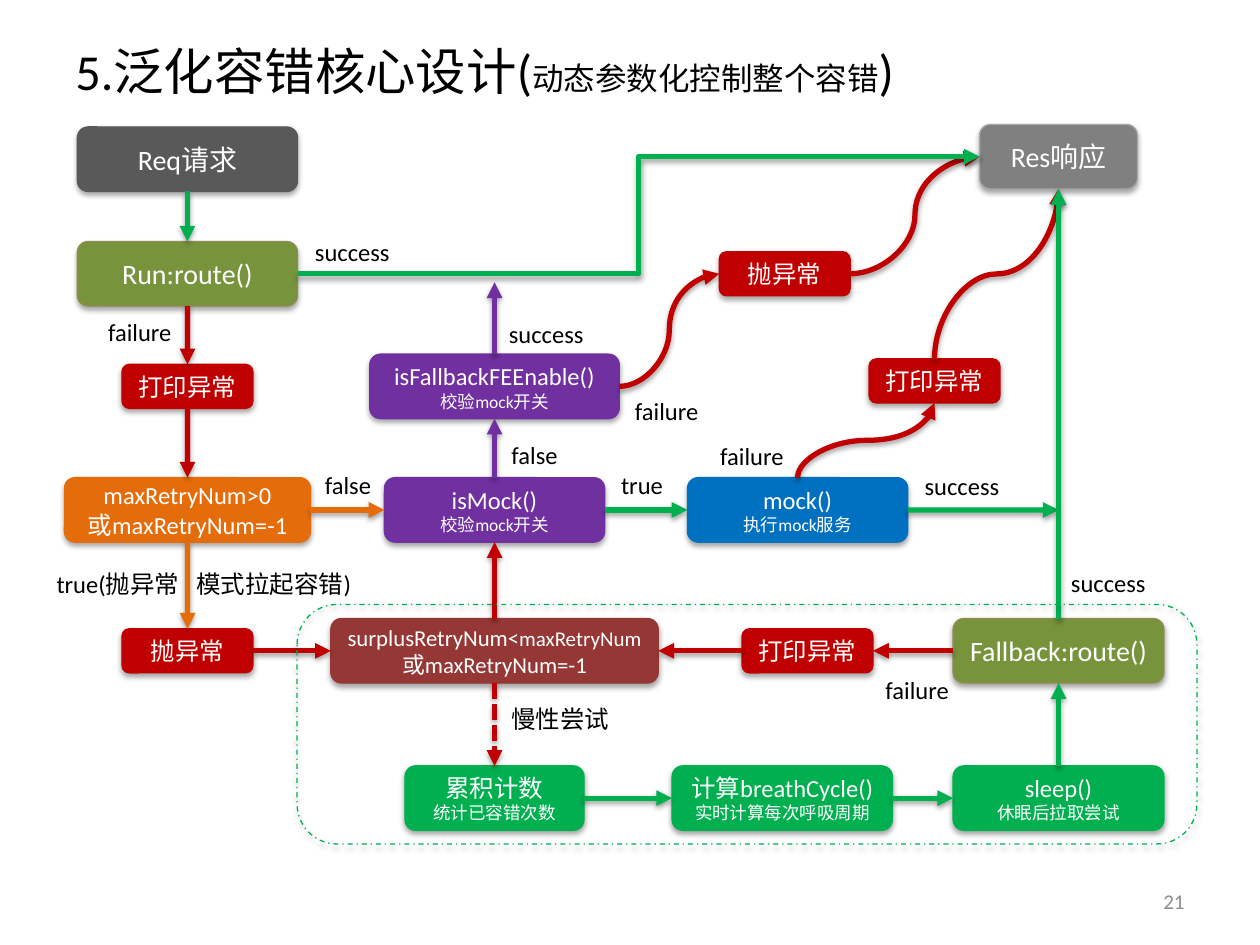
from lxml import etree
from pptx import Presentation
from pptx import util as u
from pptx.dml.color import RGBColor
from pptx.enum import dml, shapes, text
from pptx.oxml.ns import qn

THEME = {
    "latin": "Calibri", "cjk": "Noto Sans CJK SC",
    "black": "000000", "white": "FFFFFF", "muted": "8C8C8C",
    "dark": "595959", "gray": "808080", "silver": "A6A6A6",
    "olive": "77933C", "khaki": "948A54", "orange": "E46C0A",
    "purple": "7030A0", "blue": "0070C0", "red": "C00000",
    "brown": "953735", "green": "00B050",
    "title": 28.8, "subtitle": 18, "large": 16, "body": 14,
    "medium": 13, "page": 12, "small": 10,
    "thin": 0.75, "thick": 3,
}
STEP_HEIGHT, ERROR_HEIGHT, ERROR_WIDTH = 1.3, 0.89, 2.64

# Centres of the columns and rows that the steps share, in cm
LEFT, MIDDLE, RIGHT = 3.78, 9.97, 21.34
ROUTE, FALLBACK, RETRY, SURPLUS, BREATH = 5.52, 7.79, 10.28, 13.12, 16.09

TITLE = [("5.泛化容错核心设计(", "title"), ("动态参数化控制整个容错", "subtitle"),
         (")", "title")]
PAGE_NUMBER = [("21", "page")]


def call(name, note):
    return [[(name, "body")], [(note, "small")]]


# key: centre x, centre y, width, fill, outline, lines of (text, size) runs
STEPS = {
    "request": (LEFT, 3.21, 4.44, "dark", "dark", [[("Req请求", "large")]]),
    "run": (LEFT, ROUTE, 4.44, "olive", "khaki", [[("Run:route()", "large")]]),
    "fallback": (RIGHT, SURPLUS, 4.25, "olive", "khaki", [[("Fallback:route()", "large")]]),
    "retry": (LEFT, RETRY, 4.96, "orange", "orange",
              [[("maxRetryNum>0", "body")], [("或maxRetryNum=-1", "body")]]),
    "response": (RIGHT, 3.16, 3.18, "gray", "silver", [[("Res响应", "large")]]),
    "is_mock": (MIDDLE, RETRY, 4.44, "purple", "purple", call("isMock()", "校验mock开关")),
    "mock": (16.08, RETRY, 4.44, "blue", "blue", call("mock()", "执行mock服务")),
    "surplus": (MIDDLE, SURPLUS, 6.6, "brown", "brown",
                [[("surplusRetryNum<", "medium"), ("maxRetryNum", "page")],
                 [("或maxRetryNum=-1", "medium")]]),
    "count": (MIDDLE, BREATH, 3.61, "green", "green", call("累积计数", "统计已容错次数")),
    "cycle": (15.77, BREATH, 4.44, "green", "green",
              call("计算breathCycle()", "实时计算每次呼吸周期")),
    "sleep": (RIGHT, BREATH, 4.25, "green", "green", call("sleep()", "休眠后拉取尝试")),
    "is_fallback": (MIDDLE, FALLBACK, 5.03, "purple", "purple",
                    call("isFallbackFEEnable()", "校验mock开关")),
}
# key: centre x, centre y, text
ERRORS = {
    "print_run": (LEFT, FALLBACK, "打印异常"),
    "print_mock": (18.84, 7.68, "打印异常"),
    "print_fallback": (16.28, SURPLUS, "打印异常"),
    "throw_retry": (LEFT, SURPLUS, "抛异常"),
    "throw_fallback": (15.82, ROUTE, "抛异常"),
}

TOP, WEST, BOTTOM, EAST = range(4)  # connection sites of a rounded rectangle
# start, its site, end (a key or a free point), its site, colour, route
ARROWS = [
    ("mock", TOP, "print_mock", BOTTOM, "red", "rising"),
    ("print_mock", TOP, "response", BOTTOM, "red", "rising"),
    ("is_fallback", EAST, "throw_fallback", WEST, "red", "curve"),
    ("throw_fallback", EAST, "response", WEST, "red", "curve"),
    ("run", EAST, "response", WEST, "green", "bent"),
    ("request", BOTTOM, "run", TOP, "green", "straight"),
    ("run", BOTTOM, "print_run", TOP, "red", "straight"),
    ("print_run", BOTTOM, "retry", TOP, "red", "straight"),
    ("retry", BOTTOM, "throw_retry", TOP, "orange", "straight"),
    ("retry", EAST, "is_mock", WEST, "orange", "straight"),
    ("is_mock", EAST, "mock", WEST, "green", "straight"),
    ("mock", EAST, (RIGHT, RETRY), None, "green", "straight"),
    ("is_mock", TOP, "is_fallback", BOTTOM, "purple", "straight"),
    ("is_fallback", TOP, (MIDDLE, 5.69), None, "purple", "straight"),
    ("throw_retry", EAST, "surplus", WEST, "red", "straight"),
    ("surplus", TOP, "is_mock", BOTTOM, "red", "straight"),
    ("surplus", BOTTOM, "count", TOP, "red", "dashed"),
    ("count", EAST, "cycle", WEST, "green", "straight"),
    ("cycle", EAST, "sleep", WEST, "green", "straight"),
    ("sleep", TOP, "fallback", BOTTOM, "green", "straight"),
    ("fallback", WEST, "print_fallback", EAST, "red", "straight"),
    ("print_fallback", WEST, "surplus", EAST, "red", "straight"),
    ("fallback", TOP, "response", BOTTOM, "green", "straight"),
]
ROUTES = {"bent": shapes.MSO_CONNECTOR.ELBOW, "curve": shapes.MSO_CONNECTOR.CURVE,
          "rising": shapes.MSO_CONNECTOR.CURVE}

LABEL_WIDTHS = {"true": 1.37, "false": 1.45, "failure": 1.8, "success": 2.03, "慢性尝试": 2.51}
LABELS = [
    ("success", 6.1, 4.65), ("failure", 1.93, 6.27), ("success", 10.01, 6.3),
    ("failure", 12.55, 7.85), ("false", 10.06, 8.74), ("failure", 14.27, 8.76),
    ("false", 6.3, 9.35), ("true", 12.27, 9.35), ("success", 18.39, 9.37),
    ("success", 21.34, 11.33), ("failure", 17.6, 13.49), ("慢性尝试", 10.06, 14.07),
]
# The third value widens the gap where the arrow passes, in 1/100 pt
RETRY_LABEL = [("true(抛异常", "body"), (" ", "body", 630), ("模式拉起容错)", "body")]


def rgb(name):
    return RGBColor.from_string(THEME[name])


def write(frame, lines, colour, align=text.PP_ALIGN.LEFT, wrap=False,
          anchor=text.MSO_ANCHOR.MIDDLE):
    frame.word_wrap = wrap
    frame.vertical_anchor = anchor
    for number, runs in enumerate(lines):
        line = frame.add_paragraph() if number else frame.paragraphs[0]
        line.alignment = align
        for words, size, *spacing in runs:
            run = line.add_run()
            run.text = words
            run.font.size = u.Pt(THEME[size])
            run.font.name = THEME["latin"]
            run.font.color.rgb = rgb(colour)
            properties = run._r.get_or_add_rPr()
            etree.SubElement(properties, qn("a:ea")).set("typeface", THEME["cjk"])
            if spacing:
                properties.set("spc", str(spacing[0]))


def add_shadow(part, distance, opacity):
    effects = etree.SubElement(part._element.spPr, qn("a:effectLst"))
    shadow = etree.SubElement(effects, qn("a:outerShdw"), blurRad="40000",
                              dist=str(distance), dir="5400000", rotWithShape="0")
    black = etree.SubElement(shadow, qn("a:srgbClr"), val=THEME["black"])
    etree.SubElement(black, qn("a:alpha"), val=str(opacity * 1000))


def add_box(slide, x, y, width, height, fill, outline, lines=()):
    """Draw a rounded box centred on x, y."""
    box = slide.shapes.add_shape(
        shapes.MSO_SHAPE.ROUNDED_RECTANGLE, u.Cm(x - width / 2), u.Cm(y - height / 2),
        u.Cm(width), u.Cm(height))
    if fill:
        box.fill.solid()
        box.fill.fore_color.rgb = rgb(fill)
    else:
        box.fill.background()
    box.line.color.rgb = rgb(outline)
    box.line.width = u.Pt(THEME["thin"])
    add_shadow(box, 23000, 35)
    write(box.text_frame, lines, "white", text.PP_ALIGN.CENTER)
    return box


def add_text(slide, x, y, width, height, runs, colour="black", **layout):
    area = slide.shapes.add_textbox(u.Cm(x), u.Cm(y), u.Cm(width), u.Cm(height))
    write(area.text_frame, [runs], colour, **layout)


def make_rising(arrow):
    """Turn a curve so that it leaves and arrives vertically, going up and right."""
    across, rise = arrow.width, arrow.height
    arrow.left, arrow.top = arrow.left + (across - rise) // 2, arrow.top + (rise - across) // 2
    arrow.width, arrow.height = rise, across
    frame = arrow._element.spPr.find(qn("a:xfrm"))
    for name, value in (("rot", "5400000"), ("flipH", "1"), ("flipV", "1")):
        frame.set(name, value)


def add_arrow(slide, boxes, start, start_site, end, end_site, colour, route):
    free_end = end if end_site is None else (0, 0)
    arrow = slide.shapes.add_connector(ROUTES.get(route, shapes.MSO_CONNECTOR.STRAIGHT),
                                       0, 0, *map(u.Cm, free_end))
    arrow.begin_connect(boxes[start], start_site)
    if end_site is not None:
        arrow.end_connect(boxes[end], end_site)
    if route == "rising":
        make_rising(arrow)
    arrow.line.color.rgb = rgb(colour)
    arrow.line.width = u.Pt(THEME["thick"])
    if route == "dashed":
        arrow.line.dash_style = dml.MSO_LINE.SQUARE_DOT
    etree.SubElement(arrow.line._get_or_add_ln(), qn("a:tailEnd"), type="triangle")
    add_shadow(arrow, 20000, 38)


def main():
    deck = Presentation()
    deck.slide_width, deck.slide_height = u.Cm(25.4), u.Cm(19.05)
    slide = deck.slides.add_slide(deck.slide_layouts[6])

    add_text(slide, 1.27, 0.76, 22.86, 1.3, TITLE, wrap=True)
    add_text(slide, 18.21, 17.65, 5.92, 1.02, PAGE_NUMBER, "muted",
             align=text.PP_ALIGN.RIGHT, wrap=True)

    boxes = {key: add_box(slide, x, y, width, STEP_HEIGHT, fill, outline, lines)
             for key, (x, y, width, fill, outline, lines) in STEPS.items()}
    for key, (x, y, words) in ERRORS.items():
        boxes[key] = add_box(slide, x, y, ERROR_WIDTH, ERROR_HEIGHT, "red", "red",
                             [[(words, "body")]])
    for arrow in ARROWS:
        add_arrow(slide, boxes, *arrow)

    for words, x, y in LABELS:
        add_text(slide, x, y, LABEL_WIDTHS[words], 0.86, [(words, "body")],
                 anchor=text.MSO_ANCHOR.TOP)
    add_text(slide, 0.89, 11.35, 6.5, 0.86, RETRY_LABEL, wrap=True,
             anchor=text.MSO_ANCHOR.TOP)

    retry_loop = add_box(slide, 15.06, 14.6, 18.14, 4.83, None, "green")
    retry_loop.line.dash_style = dml.MSO_LINE.DASH_DOT
    deck.save("out.pptx")


if __name__ == "__main__":
    main()
